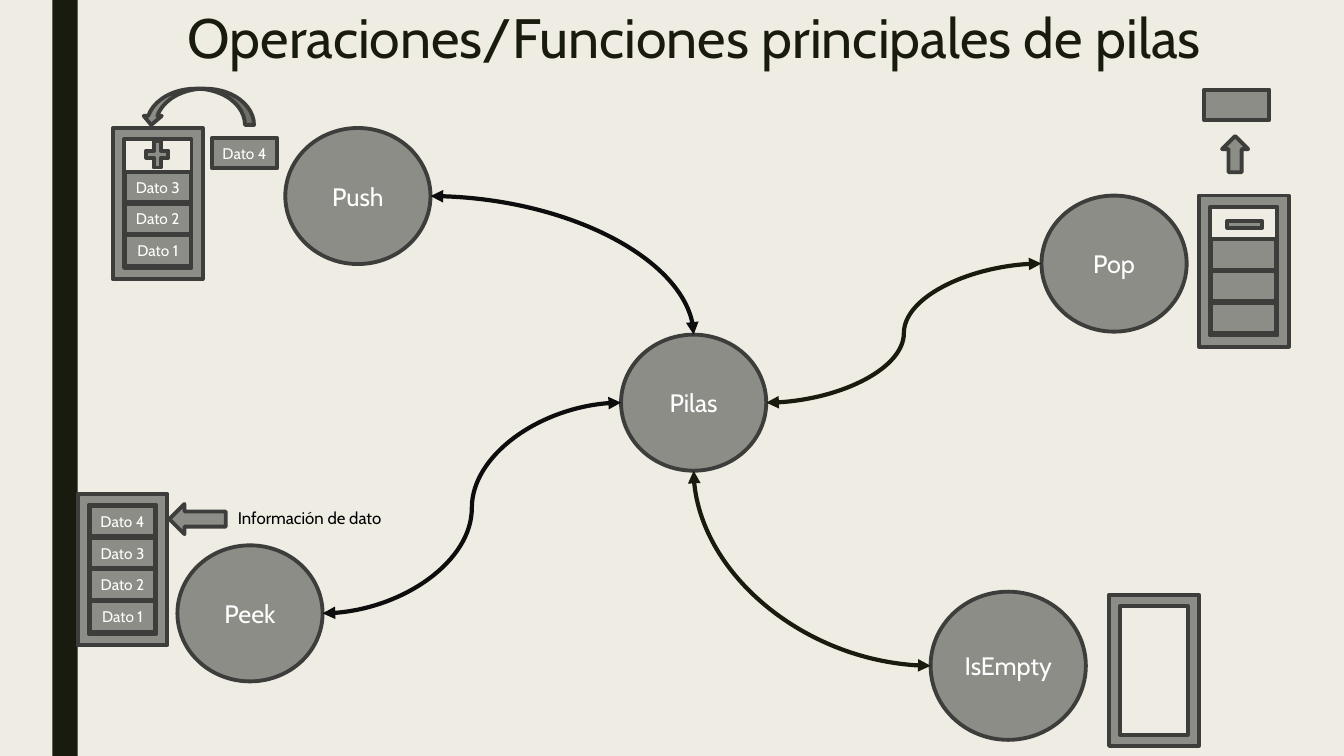
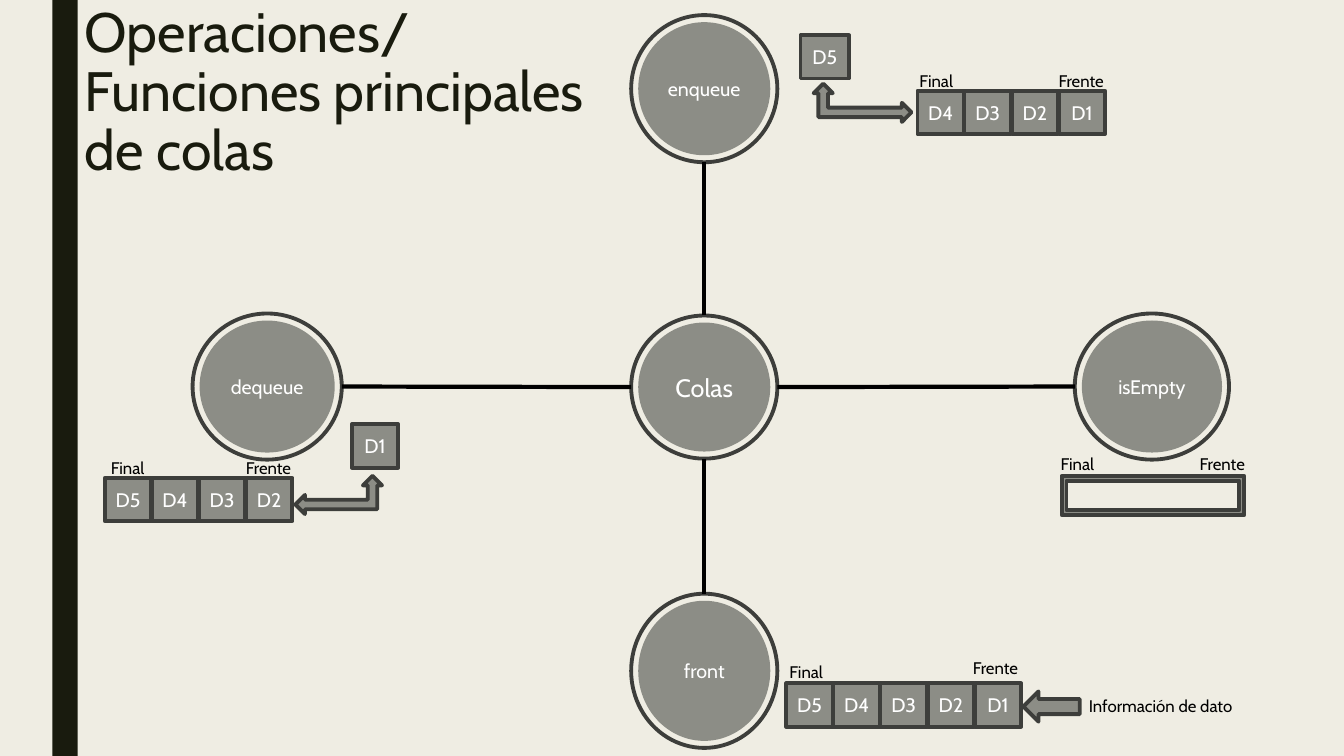
from copy import deepcopy

from lxml import etree
from pptx import Presentation
from pptx import util as u
from pptx.dml import color
from pptx.enum import shapes, text
from pptx.oxml import ns

COLORS = {"paper": "EFEDE3", "band": "191B0E", "gray": "8C8D86", "edge": "3D3E3B",
          "white": "FFFFFF", "black": "000000", "curve": "0D0D0D"}
UNIT = u.Inches(1)
COLS, ROWS = 13.33, 7.5
FONT = "Cabin"
EDGE_WIDTH, LINK_WIDTH = 2.75, 3
RING_GAP = 0.07
CELL_W, CELL_H, CELL_STEP, FRAME_GAP = 0.65, 0.3, 0.315, 0.12
FRAME_W, FRAME_H = 0.89, 1.5
BOX_W, BOX_H, BOX_STEP = 0.46, 0.43, 0.467
TOP, LEFT, BOTTOM, RIGHT = 0, 2, 4, 6
SITES = {TOP: (0.5, 0), LEFT: (0, 0.5), BOTTOM: (0.5, 1), RIGHT: (1, 0.5)}
NO_MARGINS = {"margin_left": 0, "margin_right": 0, "margin_top": 0, "margin_bottom": 0}
KIND = shapes.MSO_SHAPE


def rgb(name):
    return color.RGBColor.from_string(COLORS[name])


def grid(*cells):
    return [u.Emu(round(n * UNIT)) for n in cells]


def set_all(target, values):
    for name, value in values.items():
        setattr(target, name, value)


def style_runs(p, size, ink):
    for r in p.runs:
        set_all(r.font, {"name": FONT, "size": u.Pt(size)})
        r.font.color.rgb = rgb(ink)


def add_shape(s, kind, at, label="", size=14, fill="gray", edge="edge"):
    sp = s.shapes.add_shape(kind, *grid(*at))
    sp.shadow.inherit = False
    if fill:
        sp.fill.solid()
        sp.fill.fore_color.rgb = rgb(fill)
    else:
        sp.fill.background()
    if edge:
        sp.line.color.rgb = rgb(edge)
        sp.line.width = u.Pt(EDGE_WIDTH)
    else:
        sp.line.fill.background()
    if label:
        tf = sp.text_frame
        set_all(tf, {"word_wrap": True, "vertical_anchor": text.MSO_ANCHOR.MIDDLE, **NO_MARGINS})
        p = tf.paragraphs[0]
        p.text = label
        p.alignment = text.PP_ALIGN.CENTER
        style_runs(p, size, "white")
    return sp


def flip(sp):
    sp.element.spPr.find(ns.qn("a:xfrm")).set("flipH", "1")


def add_label(s, label, col, row, width):
    tf = s.shapes.add_textbox(*grid(col, row, width, 0.3)).text_frame
    set_all(tf, {"word_wrap": True, "margin_right": 0})
    tf.text = label
    style_runs(tf.paragraphs[0], 12, "black")


def add_final(s, col, row):
    add_label(s, "Final", col, row, 0.58)


def add_frente(s, col, row):
    add_label(s, "Frente", col, row, 0.65)


def add_info(s, col, row):
    add_label(s, "Información de dato", col, row, 1.71)


def site_point(sp, site):
    fx, fy = SITES[site]
    return u.Emu(round(sp.left + fx * sp.width)), u.Emu(round(sp.top + fy * sp.height))


def add_link(s, begin, begin_site, end, end_site, ink="black", curve=None):
    kind = shapes.MSO_CONNECTOR.CURVE if curve else shapes.MSO_CONNECTOR.STRAIGHT
    c = s.shapes.add_connector(kind, *site_point(begin, begin_site), *site_point(end, end_site))
    c.line.color.rgb = rgb(ink)
    c.line.width = u.Pt(LINK_WIDTH)
    joints = c.element.nvCxnSpPr.cNvCxnSpPr
    for tag, sp, site in (("a:stCxn", begin, begin_site), ("a:endCxn", end, end_site)):
        etree.SubElement(joints, ns.qn(tag), id=str(sp.shape_id), idx=str(site))
    if curve:
        c.element.spPr.find(ns.qn("a:prstGeom")).set("prst", curve)
        for tag in ("a:headEnd", "a:tailEnd"):
            etree.SubElement(c.line._get_or_add_ln(), ns.qn(tag), type="triangle")
    etree.SubElement(c.element.spPr, ns.qn("a:effectLst"))


def add_stack(s, col, row, labels=()):
    add_shape(s, KIND.FRAME, (col, row, FRAME_W, FRAME_H))
    for level, label in enumerate(labels):
        top = row + FRAME_GAP + (3 - level) * CELL_STEP
        add_cell(s, col + FRAME_GAP, top, label)


def add_cell(s, col, row, label=""):
    add_shape(s, KIND.RECTANGLE, (col, row, CELL_W, CELL_H), label, 11)


def add_box(s, col, row, label, width=BOX_W):
    add_shape(s, KIND.RECTANGLE, (col, row, width, BOX_H), label)


def add_queue(s, col, row, labels):
    for i, label in enumerate(labels):
        add_box(s, col + i * BOX_STEP, row, label)


def add_ringed(s, label, at, size=14):
    col, row, width, height = at
    inner = (col + RING_GAP, row + RING_GAP, width - 2 * RING_GAP, height - 2 * RING_GAP)
    add_shape(s, KIND.OVAL, inner, label, size, edge=None)
    return add_shape(s, KIND.OVAL, at, fill=None)


def add_slide(prs, title, at):
    s = prs.slides.add_slide(prs.slide_layouts[5])
    sp = s.shapes.title
    set_all(sp, dict(zip(("left", "top", "width", "height"), grid(*at))))
    tf = sp.text_frame
    tf.text = title
    set_all(tf, {"word_wrap": True, "vertical_anchor": text.MSO_ANCHOR.TOP})
    p = tf.paragraphs[0]
    set_all(p, {"alignment": text.PP_ALIGN.LEFT, "line_spacing": 0.89})
    style_runs(p, 39.6, "band")
    for br in p._p.findall(ns.qn("a:br")):
        br.append(deepcopy(p.runs[0].font._element))
    return s


def add_band(prs, s):
    master = prs.slide_master
    master.background.fill.solid()
    master.background.fill.fore_color.rgb = rgb("paper")
    band = add_shape(s, KIND.RECTANGLE, (0.52, 0, 0.25, ROWS), fill="band", edge=None)
    band.element.nvSpPr.cNvPr.id = 99
    master.shapes.element.insert(2, band.element)


def build_stacks(s):
    nodes = {}
    for label, col, row, width, height in (
            ("Pilas", 6.16, 3.32, 1.44, 1.35), ("Pop", 10.33, 1.94, 1.44, 1.35),
            ("Peek", 1.76, 5.41, 1.44, 1.35), ("Push", 2.83, 1.27, 1.44, 1.35),
            ("IsEmpty", 9.23, 5.87, 1.54, 1.47)):
        nodes[label] = add_shape(s, KIND.OVAL, (col, row, width, height), label, 18)
    hub = nodes["Pilas"]
    add_link(s, nodes["Push"], RIGHT, hub, TOP, "curve", "curvedConnector2")
    add_link(s, nodes["IsEmpty"], LEFT, hub, BOTTOM, "band", "curvedConnector2")
    add_link(s, nodes["Peek"], RIGHT, hub, LEFT, "curve", "curvedConnector3")
    add_link(s, hub, RIGHT, nodes["Pop"], LEFT, "band", "curvedConnector3")

    data = [f"Dato {n}" for n in range(1, 5)]
    add_stack(s, 1.12, 1.27, data[:3])
    add_stack(s, 11.89, 1.94, [""] * 3)
    add_stack(s, 0.77, 4.9, data)
    add_stack(s, 11, 5.9)
    add_cell(s, 2.1, 1.37, data[3])
    add_cell(s, 11.94, 0.89)
    for kind, at in ((KIND.MATH_PLUS, (1.41, 1.35, 0.3, 0.36)),
                     (KIND.MATH_MINUS, (12.11, 2.08, 0.47, 0.29)),
                     (KIND.LEFT_ARROW, (1.68, 5, 0.56, 0.3)),
                     (KIND.UP_ARROW, (12.12, 1.35, 0.26, 0.36))):
        add_shape(s, kind, at)
    flip(add_shape(s, KIND.CURVED_DOWN_ARROW, (1.41, 0.88, 1.11, 0.36)))
    add_info(s, 2.26, 4.99)


def build_queues(s):
    hub = add_ringed(s, "Colas", (6.26, 3.13, 1.45, 1.42), 18)
    for label, at, hub_site, site in (
            ("front", (6.26, 5.89, 1.45, 1.53), BOTTOM, TOP),
            ("enqueue", (6.26, 0.15, 1.45, 1.46), TOP, BOTTOM),
            ("dequeue", (1.91, 3.11, 1.48, 1.45), LEFT, RIGHT),
            ("isEmpty", (10.66, 3.11, 1.53, 1.45), RIGHT, LEFT)):
        add_link(s, hub, hub_site, add_ringed(s, label, at), site)

    data = [f"D{n}" for n in range(5, 0, -1)]
    add_queue(s, 9.1, 0.9, data[1:])
    add_queue(s, 1.04, 4.74, data[:4])
    add_queue(s, 7.8, 6.78, data)
    add_box(s, 7.94, 0.35, "D5", 0.48)
    add_box(s, 3.49, 4.21, "D1")
    flip(add_shape(s, KIND.LEFT_UP_ARROW, (8.07, 0.83, 0.97, 0.38)))
    add_shape(s, KIND.LEFT_UP_ARROW, (2.93, 4.72, 0.86, 0.38))
    add_shape(s, KIND.FRAME, (10.53, 4.72, 1.81, 0.39))
    add_shape(s, KIND.LEFT_ARROW, (10.15, 6.86, 0.56, 0.3))
    for col, row in ((9.02, 0.65), (1, 4.49), (10.42, 4.45), (7.73, 6.52)):
        add_final(s, col, row)
    for col, row in ((10.4, 0.65), (2.34, 4.49), (11.8, 4.45), (9.55, 6.48)):
        add_frente(s, col, row)
    add_info(s, 10.7, 6.85)


def main():
    prs = Presentation()
    prs.slide_width, prs.slide_height = grid(COLS, ROWS)
    stacks = add_slide(prs, "Operaciones/Funciones principales de pilas", (1.76, 0.06, 10.5, 0.79))
    add_band(prs, stacks)
    build_stacks(stacks)
    queues = add_slide(prs, "Operaciones/\vFunciones principales de colas", (0.74, 0, 5.3, 2.09))
    build_queues(queues)
    prs.save("out.pptx")


if __name__ == "__main__":
    main()
